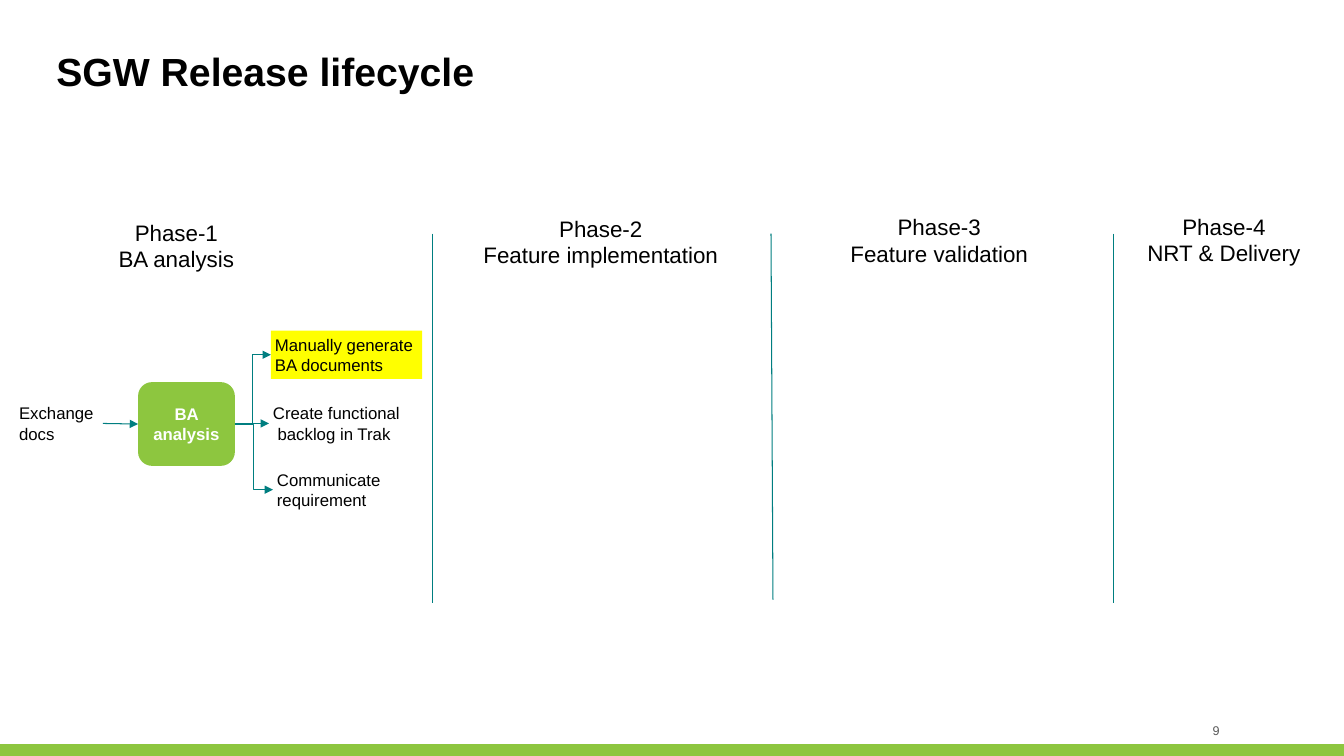
from lxml import etree
from pptx import Presentation
from pptx import util as u
from pptx.dml.color import RGBColor
from pptx.enum import shapes, text
from pptx.oxml.ns import qn

GREEN = RGBColor(0x8D, 0xC6, 0x3F)
TEAL = RGBColor(0x00, 0x7E, 0x80)
YELLOW = RGBColor(0xFF, 0xFF, 0x00)
BLACK = RGBColor(0x00, 0x00, 0x00)
WHITE = RGBColor(0xFF, 0xFF, 0xFF)
GREY = RGBColor(0x59, 0x59, 0x59)


def write(shape, lines, size, color=BLACK, align=text.PP_ALIGN.LEFT, bold=False,
          inset=0.1, wrap=False, anchor=text.MSO_ANCHOR.TOP):
    frame = shape.text_frame
    frame.text = "\n".join(lines)
    frame.word_wrap = wrap
    frame.auto_size = text.MSO_AUTO_SIZE.NONE if wrap else text.MSO_AUTO_SIZE.SHAPE_TO_FIT_TEXT
    frame.vertical_anchor = anchor
    frame.margin_left = frame.margin_right = u.Cm(inset)
    frame.margin_top = frame.margin_bottom = u.Cm(inset)
    for paragraph in frame.paragraphs:
        paragraph.alignment = align
        font = paragraph.font
        font.name, font.size, font.bold = "Arial", u.Pt(size), bold
        font.color.rgb = color


def add_line(kind, x1=0, y1=0, x2=0, y2=0, arrow=False):
    line = slide.shapes.add_connector(kind, u.Cm(x1), u.Cm(y1), u.Cm(x2), u.Cm(y2))
    line.line.color.rgb = TEAL
    line.line.width = u.Pt(0.75)
    if arrow:
        etree.SubElement(line.line._get_or_add_ln(), qn("a:tailEnd"), type="triangle")
    etree.SubElement(line._element.spPr, qn("a:effectLst"))
    return line


prs = Presentation()
prs.slide_width, prs.slide_height = u.Cm(33.87), u.Cm(19.05)
slide = prs.slides.add_slide(prs.slide_layouts[5])

# Footer bar and page number
footer = slide.shapes.add_shape(shapes.MSO_SHAPE.RECTANGLE,
                                0, u.Cm(18.75), prs.slide_width, u.Cm(0.3))
footer.shadow.inherit = False
footer.fill.solid()
footer.fill.fore_color.rgb = GREEN
footer.line.fill.background()
page_number = slide.shapes.add_textbox(u.Cm(29.01), u.Cm(18.14), u.Cm(1.73), u.Cm(0.51))
write(page_number, ["9"], 9, GREY, text.PP_ALIGN.RIGHT, inset=0, wrap=True,
      anchor=text.MSO_ANCHOR.MIDDLE)

# Title
title = slide.shapes.title
title.left, title.top, title.width, title.height = u.Cm(1.42), u.Cm(1.42), u.Cm(30.96), u.Cm(2.9)
write(title, ["SGW Release lifecycle"], 28, bold=True, inset=0, wrap=True)
title.text_frame.paragraphs[0].line_spacing = 0.8

# Dividers between phases
for x_top, x_bottom, bottom in [(10.9, 10.9, 15.19), (19.43, 19.48, 15.11), (28.07, 28.07, 15.19)]:
    add_line(shapes.MSO_CONNECTOR.STRAIGHT, x_top, 5.89, x_bottom, bottom)

# Phase headings
phases = [
    ("BA analysis", 2.87, 5.41, 3.15),
    ("Feature implementation", 12.04, 5.31, 6.2),
    ("Feature validation", 21.31, 5.28, 4.72),
    ("NRT & Delivery", 28.8, 5.26, 4.09),
]
for number, (name, left, top, width) in enumerate(phases, 1):
    heading = slide.shapes.add_textbox(u.Cm(left), u.Cm(top), u.Cm(width), u.Cm(1.57))
    write(heading, [f"Phase-{number}", name], 16, align=text.PP_ALIGN.CENTER)

# BA analysis step
analysis = slide.shapes.add_shape(shapes.MSO_SHAPE.ROUNDED_RECTANGLE,
                                  u.Cm(3.48), u.Cm(9.63), u.Cm(2.44), u.Cm(2.11))
analysis.shadow.inherit = False
analysis.fill.solid()
analysis.fill.fore_color.rgb = GREEN
analysis.line.fill.background()
write(analysis, ["BA analysis"], 12, WHITE, text.PP_ALIGN.CENTER, bold=True, wrap=True,
      anchor=text.MSO_ANCHOR.MIDDLE)

# Input and outputs of the step
steps = [
    (["Exchange", "docs"], 0.38, 10.06, 2.21),
    (["Manually generate", "BA documents"], 6.83, 8.33, 3.81),
    (["Create functional", " backlog in Trak"], 6.78, 10.06, 3.43),
    (["Communicate", "requirement"], 6.88, 11.73, 2.95),
]
step_boxes = []
for lines, left, top, width in steps:
    box = slide.shapes.add_textbox(u.Cm(left), u.Cm(top), u.Cm(width), u.Cm(1.22))
    write(box, lines, 12)
    step_boxes.append(box)
exchange_docs, *outputs = step_boxes
ba_documents = outputs[0]
ba_documents.fill.solid()
ba_documents.fill.fore_color.rgb = YELLOW

# Arrows into and out of the step
flows = [(shapes.MSO_CONNECTOR.STRAIGHT, exchange_docs, analysis)]
flows += [(shapes.MSO_CONNECTOR.ELBOW, analysis, output) for output in outputs]
for kind, source, target in flows:
    flow = add_line(kind, arrow=True)
    flow.begin_connect(source, 3)
    flow.end_connect(target, 1)

prs.save("out.pptx")
